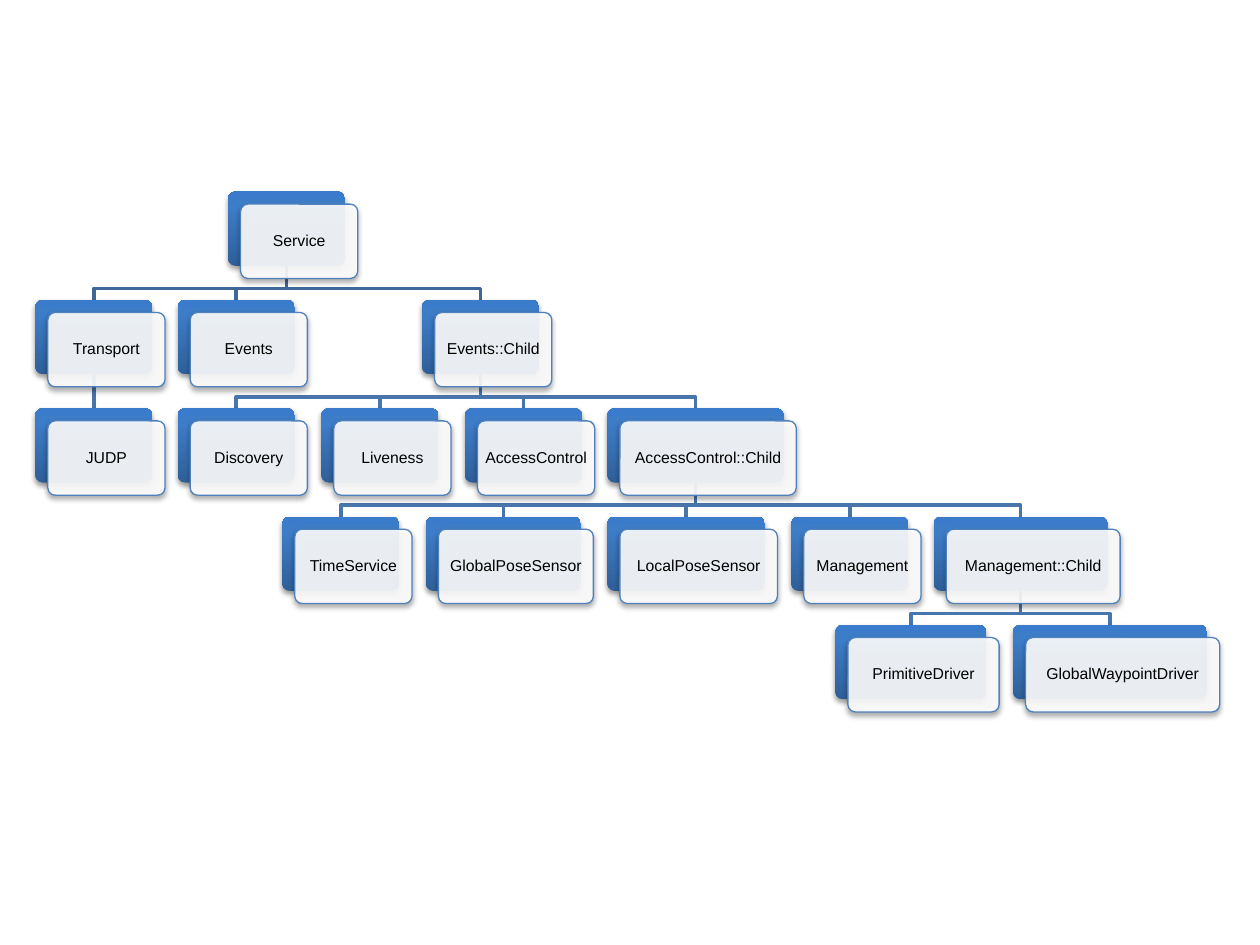
from lxml import etree
from pptx import Presentation
from pptx.dml.color import RGBColor
from pptx.enum import shapes, text
from pptx.oxml import ns
from pptx.util import Inches, Pt

# Content: service, parent, level, left, width (inches)
SERVICES = [
    ("Service", None, 0, 1.81, 0.93),
    ("Transport", "Service", 1, 0.28, 0.93),
    ("JUDP", "Transport", 2, 0.28, 0.93),
    ("Events", "Service", 1, 1.41, 0.93),
    ("Events::Child", "Service", 1, 3.35, 0.93),
    ("Discovery", "Events::Child", 2, 1.41, 0.93),
    ("Liveness", "Events::Child", 2, 2.55, 0.93),
    ("AccessControl", "Events::Child", 2, 3.69, 0.93),
    ("AccessControl::Child", "Events::Child", 2, 4.82, 1.4),
    ("TimeService", "AccessControl::Child", 3, 2.24, 0.93),
    ("GlobalPoseSensor", "AccessControl::Child", 3, 3.38, 1.23),
    ("LocalPoseSensor", "AccessControl::Child", 3, 4.82, 1.25),
    ("Management", "AccessControl::Child", 3, 6.28, 0.93),
    ("Management::Child", "AccessControl::Child", 3, 7.41, 1.38),
    ("PrimitiveDriver", "Management::Child", 4, 6.63, 1.2),
    ("GlobalWaypointDriver", "Management::Child", 4, 8.04, 1.54),
]

# Layout and colours
TOP, ROW_STEP, CARD_HEIGHT, OFFSET = 1.52, 0.86, 0.59, 0.1
BRANCH_DROP = 0.18
WHITE = RGBColor(0xFF, 0xFF, 0xFF)
BLACK = RGBColor(0x00, 0x00, 0x00)
OUTLINE = RGBColor(0x4F, 0x81, 0xBD)
ROOT_BRANCH = RGBColor(0x3F, 0x67, 0x97)
BRANCH = RGBColor(0x48, 0x75, 0xAC)
GRADIENT = [(0, RGBColor(0x2F, 0x5F, 0x99)), (80, RGBColor(0x3D, 0x7C, 0xC7)),
            (100, RGBColor(0x3A, 0x7C, 0xCB))]


def sub(parent, tag, **attributes):
    return etree.SubElement(parent, ns.qn(tag), {k: str(v) for k, v in attributes.items()})


def add_card(left, top, width, opacity):
    card = slide.shapes.add_shape(shapes.MSO_SHAPE.ROUNDED_RECTANGLE, Inches(left),
                                  Inches(top), Inches(width), Inches(CARD_HEIGHT))
    card.adjustments[0] = 0.1
    card.shadow.inherit = False
    effects = card._element.spPr.find(ns.qn("a:effectLst"))
    shadow = sub(effects, "a:outerShdw", blurRad=Pt(3.1), dist=Pt(1.8),
                 dir=90 * 60000, rotWithShape=0)
    sub(sub(shadow, "a:srgbClr", val=BLACK), "a:alpha", val=opacity * 1000)
    return card


def fill_gradient(card):
    card.fill.background()
    placeholder = card._element.spPr.find(ns.qn("a:noFill"))
    gradient = etree.Element(ns.qn("a:gradFill"), rotWithShape="1")
    stops = sub(gradient, "a:gsLst")
    for position, color in GRADIENT:
        sub(sub(stops, "a:gs", pos=position * 1000), "a:srgbClr", val=color)
    sub(gradient, "a:lin", ang=270 * 60000, scaled=0)
    card._element.spPr.replace(placeholder, gradient)


def add_service(name, level, left, width):
    top = TOP + level * ROW_STEP
    back = add_card(left, top, width, 38 if level else 35)
    fill_gradient(back)
    back.line.fill.background()

    front = add_card(left + OFFSET, top + OFFSET, width, 35)
    front.fill.solid()
    front.fill.fore_color.rgb = WHITE
    white = front._element.spPr.find(ns.qn("a:solidFill"))[0]
    sub(white, "a:alpha", val=90000)
    front.line.color.rgb = OUTLINE
    front.line.width = Pt(0.75)

    frame = front.text_frame
    frame.word_wrap = False
    frame.vertical_anchor = text.MSO_ANCHOR.MIDDLE
    frame.margin_left = frame.margin_right = Inches(0.04)
    frame.margin_top = frame.margin_bottom = Inches(0.04)
    label = frame.paragraphs[0]
    label.text = name
    label.alignment = text.PP_ALIGN.CENTER
    label.line_spacing = 0.9
    label.font.size, label.font.name = Pt(9), "Arial"
    label.font.color.rgb = BLACK
    return back


def add_branch(parent, child, color):
    start_x, end_x = (card.left + card.width // 2 for card in (parent, child))
    start_y, end_y = parent.top + parent.height, child.top
    if start_x == end_x:
        branch = slide.shapes.add_connector(shapes.MSO_CONNECTOR.STRAIGHT,
                                            start_x, start_y, end_x, end_y)
        branch.begin_connect(parent, 2)
        branch.end_connect(child, 0)
        sub(branch._element.spPr, "a:effectLst")
    else:
        bend_y = start_y + Inches(BRANCH_DROP)
        builder = slide.shapes.build_freeform(start_x, start_y)
        builder.add_line_segments([(start_x, bend_y), (end_x, bend_y), (end_x, end_y)],
                                  close=False)
        branch = builder.convert_to_shape()
        branch.fill.background()
        branch.shadow.inherit = False
    branch.line.color.rgb = color
    branch.line.width = Pt(2)
    # Branches lie behind all cards
    slide.shapes._spTree.insert(2, branch._element)


prs = Presentation()
prs.slide_width, prs.slide_height = Inches(10), Inches(7.5)
slide = prs.slides.add_slide(prs.slide_layouts[6])

# Cards, then the branches between them
cards = {name: add_service(name, level, left, width)
         for name, _, level, left, width in SERVICES}
for name, parent, level, _, _ in SERVICES:
    if parent:
        add_branch(cards[parent], cards[name], ROOT_BRANCH if level == 1 else BRANCH)

prs.save("out.pptx")
